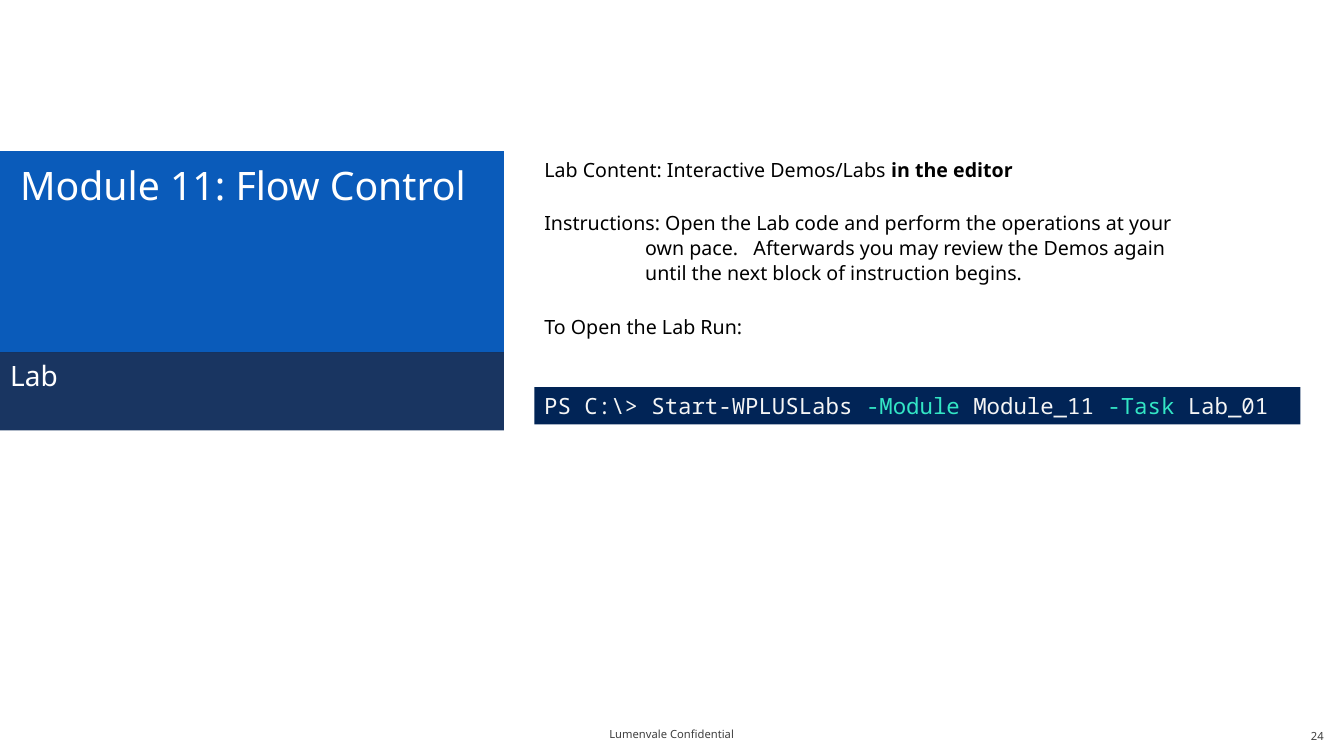
"""Build the lab slide of the flow control module."""
from lxml import etree
from pptx import Presentation
from pptx.dml.color import RGBColor
from pptx.enum.shapes import MSO_SHAPE
from pptx.enum.text import MSO_ANCHOR, MSO_AUTO_SIZE, PP_ALIGN
from pptx.oxml.ns import qn
from pptx.util import Inches, Pt

LEFT, CENTER, RIGHT = PP_ALIGN.LEFT, PP_ALIGN.CENTER, PP_ALIGN.RIGHT
TOP, MIDDLE = MSO_ANCHOR.TOP, MSO_ANCHOR.MIDDLE
NO_FIT = MSO_AUTO_SIZE.NONE
RECT = MSO_SHAPE.RECTANGLE

BLUE = RGBColor(0x0A, 0x5B, 0xBA)
NAVY = RGBColor(0x00, 0x20, 0x50)
CONSOLE = RGBColor(0x01, 0x24, 0x56)
TEAL = RGBColor(0x33, 0xE6, 0xC5)
SMOKE = RGBColor(0xF5, 0xF5, 0xF5)
WHITE = RGBColor(0xFF, 0xFF, 0xFF)
BLACK = RGBColor(0x00, 0x00, 0x00)
GRAY = RGBColor(0x3F, 0x3F, 0x3F)

SANS, MONO = "Noto Sans", "Noto Sans Mono"
COLS, ROWS = 40, 30
WIDTH, HEIGHT = Inches(13.33), Inches(7.5)


def place(sp, col, row, cols, rows):
    """Set a shape's frame in grid columns and rows."""
    sp.left, sp.width = (int(n * WIDTH / COLS) for n in (col, cols))
    sp.top, sp.height = (int(n * HEIGHT / ROWS) for n in (row, rows))


def set_frame(sp, insets=(0.1, 0.05, 0.1, 0.05), anchor=TOP):
    """Set wrapping, insets in inches and anchor; return the text frame."""
    tf = sp.text_frame
    tf.word_wrap, tf.auto_size, tf.vertical_anchor = True, NO_FIT, anchor
    tf.margin_left, tf.margin_top, tf.margin_right, tf.margin_bottom = map(Inches, insets)
    return tf


def style(p, size, color, font=SANS, align=LEFT, spacing=1.0, before=0, hang=0):
    """Format a paragraph without a bullet, with an optional hanging indent."""
    p.font.size, p.font.name, p.font.color.rgb = Pt(size), font, color
    p.alignment, p.line_spacing = align, spacing
    p.space_before, p.space_after = Pt(before), Pt(0)
    pPr = p._p.get_or_add_pPr()
    pPr.set("marL", str(Inches(hang)))
    pPr.set("indent", str(-Inches(hang)))
    pPr.insert_element_before(etree.Element(qn("a:buNone")), "a:tabLst", "a:defRPr", "a:extLst")


def fill(sp, color, alpha=100):
    """Give a shape a solid fill of the given opacity and no outline."""
    sp.fill.solid()
    sp.fill.fore_color.rgb = color
    sp.line.fill.background()
    if alpha < 100:
        clr = sp._element.spPr.find(".//" + qn("a:srgbClr"))
        etree.SubElement(clr, qn("a:alpha"), val=str(alpha * 1000))


def add_banner(title, subtitle, col, row, cols, rows):
    """Stack the title block and the translucent lab strip in a box."""
    split = 0.72 * rows
    parts = (
        (title, "Module 11: Flow Control", 28, BLUE, 100, 0, split, (0.2, 0.15, 0.1, 0.05)),
        (subtitle, "Lab", 20, NAVY, 90, split, rows - split, (0.1, 0.1, 0.1, 0.05)),
    )
    for sp, text, size, color, alpha, offset, height, insets in parts:
        place(sp, col, row + offset, cols, height)
        fill(sp, color, alpha)
        tf = set_frame(sp, insets)
        tf.text = text
        style(tf.paragraphs[0], size, WHITE, spacing=0.9)


def add_instructions(body, col, row, cols, rows):
    """Write the lab instructions in a box."""
    place(body, col, row, cols, rows)
    tf = set_frame(body)
    tf.text = "\n".join((
        "Lab Content: Interactive Demos/Labs ",
        "Instructions: Open the Lab code and perform the operations at your own pace.   "
        "Afterwards you may review the Demos again until the next block of instruction begins.",
        "To Open the Lab Run:",
    ))
    for p, before, hang in zip(tf.paragraphs, (0, 20, 20), (0, 1, 0)):
        style(p, 14, BLACK, spacing=1.07, before=before, hang=hang)
    r = tf.paragraphs[0].add_run()
    r.text, r.font.bold = "in the editor", True


def add_console(s, col, row, cols, rows):
    """Draw the command line with its parameters highlighted."""
    sp = s.shapes.add_shape(RECT, 0, 0, 0, 0)
    sp.shadow.inherit = False
    place(sp, col, row, cols, rows)
    fill(sp, CONSOLE)
    p = set_frame(sp).paragraphs[0]
    style(p, 16, SMOKE, MONO)
    command = ("PS C:\\> Start-WPLUSLabs ", "-Module ", "Module_11 ", "-Task ", "Lab_01")
    for i, text in enumerate(command):
        r = p.add_run()
        r.text = text
        r.font.color.rgb = TEAL if i % 2 else SMOKE


def add_footer(s, col, row, cols, rows):
    """Place the notice and the page number along the foot of the slide."""
    parts = (("Lumenvale Confidential", 0, 0, CENTER), ("24", COLS - cols - col, 0.08, RIGHT))
    for text, dx, dy, align in parts:
        sp = s.shapes.add_textbox(0, 0, 0, 0)
        place(sp, col + dx, row + dy, cols, rows)
        tf = set_frame(sp, (0.2, 0.05, 0.2, 0.05), MIDDLE)
        tf.text = text
        style(tf.paragraphs[0], 8, GRAY, align=align)


def main():
    """Build and save the presentation."""
    prs = Presentation()
    prs.slide_width, prs.slide_height = WIDTH, HEIGHT
    s = prs.slides.add_slide(prs.slide_layouts[3])
    title, subtitle, body = s.placeholders
    add_banner(title, subtitle, 0, 6, 15, 11.08)
    add_instructions(body, 15.9, 6, 19.62, 21.68)
    add_console(s, 15.9, 15.36, 22.8, 1.48)
    add_footer(s, 15.33, 28.32, 9.33, 1.6)
    prs.save("out.pptx")


main()
